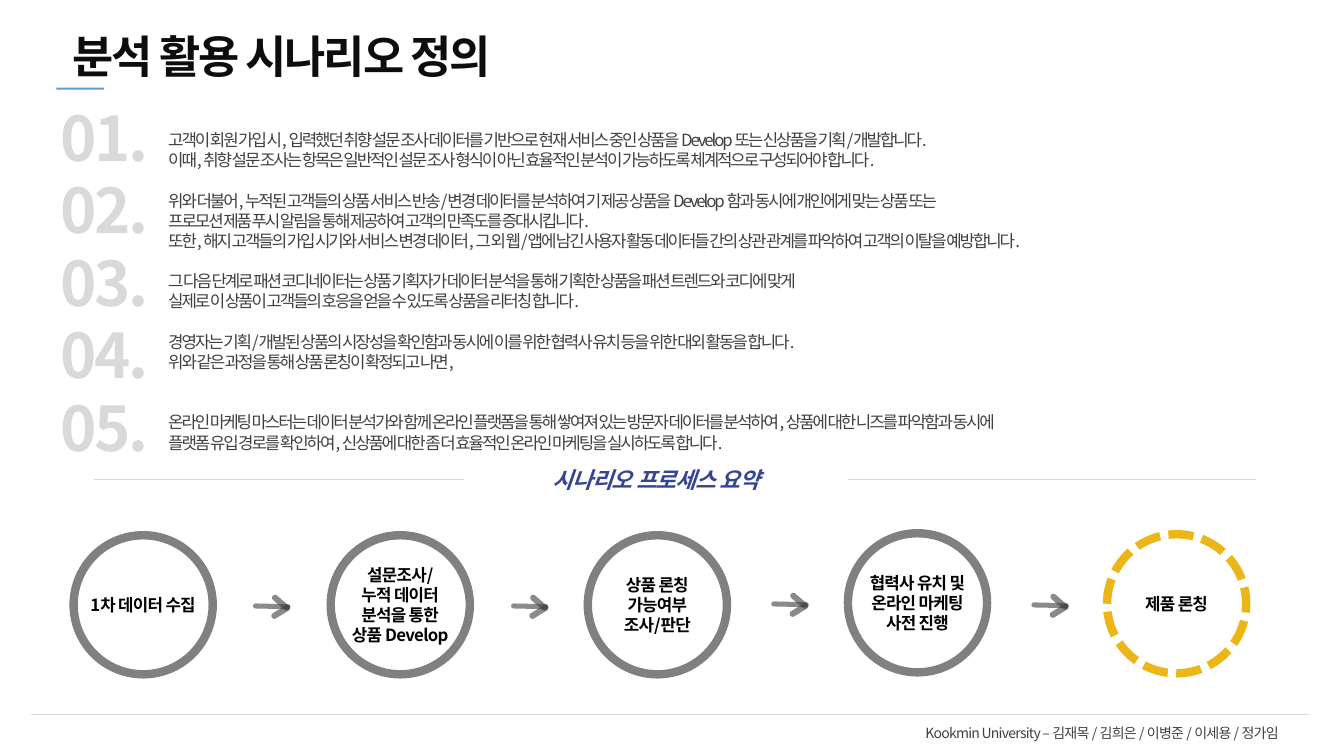
"""Build the scenario slide with its numbered text and process steps."""
from dataclasses import dataclass, field
from typing import NamedTuple

from lxml import etree
from pptx import Presentation
from pptx import util as u
from pptx.dml.color import RGBColor
from pptx.enum import dml, shapes, text
from pptx.oxml.ns import qn

PX = 9144


class Box(NamedTuple):
    x: int
    y: int
    w: int
    h: int


class Look(NamedTuple):
    size: int
    color: str
    space: int = -50
    bold: bool = False
    slant: bool = False
    lead: float = 1.2


@dataclass(frozen=True)
class Theme:
    font: str = "Noto Sans CJK KR"
    rule: str = "D9D9D9"
    bar: str = "5B9BD5"
    ink: str = "404040"
    ring: str = "808080"
    gold: str = "ECB619"
    white: str = "FFFFFF"
    title: Look = Look(32, "0D0D0D", -150, True, lead=1.28)
    body: Look = Look(12, "404040", -150)
    head: Look = Look(16, "354592", -50, True, True)
    digit: Look = Look(44, "D9D9D9", -150, True, lead=1.28)
    step: Look = Look(12, "000000", -50, True)
    foot: Look = Look(10, "404040")


@dataclass(frozen=True)
class Step:
    x: int
    y: int
    lines: list[str]
    last: bool = False


@dataclass(frozen=True)
class Para:
    lines: list[str]
    gap: int = field(default=1)


class Blade(NamedTuple):
    box: Box
    turn: float


class Rule(NamedTuple):
    x: int
    end: int
    y: int
    width: float


THEME = Theme()
BODY = [
    Para(["고객이 회원 가입 시, 입력했던 취향 설문 조사 데이터를 기반으로 현재 서비스 중인 상품을 Develop 또는 신상품을 기획/개발합니다.",
          "이때, 취향 설문 조사는 항목은 일반적인 설문 조사 형식이 아닌 효율적인 분석이 가능하도록 체계적으로 구성되어야 합니다."], 0),
    Para(["위와 더불어, 누적된 고객들의 상품 서비스 반송/변경 데이터를 분석하여 기 제공 상품을 Develop 함과 동시에 개인에게 맞는 상품 또는",
          "프로모션 제품 푸시 알림을 통해 제공하여 고객의 만족도를 증대시킵니다.",
          "또한, 해지 고객들의 가입 시기와 서비스 변경 데이터, 그 외 웹/앱에 남긴 사용자 활동 데이터들 간의 상관 관계를 파악하여 고객의 이탈을 예방합니다."]),
    Para(["그 다음 단계로 패션 코디네이터는 상품 기획자가 데이터 분석을 통해 기획한 상품을 패션 트렌드와 코디에 맞게",
          "실제로 이 상품이 고객들의 호응을 얻을 수 있도록 상품을 리터칭 합니다."]),
    Para(["경영자는 기획/개발된 상품의 시장성을 확인함과 동시에 이를 위한 협력사 유치 등을 위한 대외 활동을 합니다.",
          "위와 같은 과정을 통해 상품 론칭이 확정되고 나면,"]),
    Para(["온라인 마케팅 마스터는 데이터 분석가와 함께 온라인 플랫폼을 통해 쌓여져 있는 방문자 데이터를 분석하여, 상품에 대한 니즈를 파악함과 동시에",
          "플랫폼 유입 경로를 확인하여, 신상품에 대한 좀 더 효율적인 온라인 마케팅을 실시하도록 합니다."], 2),
]
STEPS = [
    Step(73, 531, ["1차 데이터 수집"]),
    Step(328, 531, ["설문조사/", "누적 데이터", "분석을 통한", "상품 Develop"]),
    Step(583, 531, ["상품 론칭", "가능여부", "조사/판단"]),
    Step(841, 529, ["협력사 유치 및", "온라인 마케팅", "사전 진행"]),
    Step(1098, 530, ["제품 론칭"], True),
]
ARROWS = [(251, 599), (507, 599), (765, 597), (1023, 598)]
BLADES = [Blade(Box(0, 0, 37, 5), 1.2), Blade(Box(17, 5, 21, 6), 328.2),
          Blade(Box(17, -4, 21, 6), 40.9)]
RULES = [Rule(31, 1298, 709, 0.75), Rule(841, 1246, 476, 0.5), Rule(93, 460, 476, 0.5)]


def apply(item, vals: dict) -> None:
    """Set each value on the item."""
    for key, val in vals.items():
        setattr(item, key, val)


def scale(box: Box) -> list[int]:
    """Turn px into EMU."""
    return [v * PX for v in box]


def write(frame, paras: list[Para], look: Look, mid: bool = True) -> None:
    """Fill a text frame with styled lines."""
    pitch = look.size * look.lead
    rows = [(line, para.gap if not i else 0)
            for para in paras for i, line in enumerate(para.lines)]
    for i, (line, gap) in enumerate(rows):
        par = frame.paragraphs[0] if not i else frame.add_paragraph()
        apply(par, {"alignment": text.PP_ALIGN.CENTER if mid else text.PP_ALIGN.LEFT,
                    "line_spacing": u.Pt(pitch), "space_before": u.Pt(gap * pitch)})
        run = par.add_run()
        run.text = line
        apply(run.font, {"size": u.Pt(look.size), "bold": look.bold,
                         "italic": look.slant, "name": THEME.font})
        run.font.color.rgb = RGBColor.from_string(look.color)
        props = run.font._element
        props.set("spc", str(look.space))
        east = etree.Element(qn("a:ea"), typeface=THEME.font)
        props.find(qn("a:latin")).addnext(east)


def label(slide, box: Box, paras: list[Para], look: Look,
          mid: bool = True, wrap: bool = True, right: int = 10) -> None:
    """Add a text box."""
    frame = slide.shapes.add_textbox(*scale(box)).text_frame
    apply(frame, {"word_wrap": wrap, "margin_right": right * PX})
    write(frame, paras, look, mid)


def block(slide, kind, box: Box, color: str):
    """Add a plain filled shape."""
    shape = slide.shapes.add_shape(kind, *scale(box))
    shape.shadow.inherit = False
    shape.fill.solid()
    shape.fill.fore_color.rgb = RGBColor.from_string(color)
    shape.line.fill.background()
    return shape


def draw_rule(slide, rule: Rule) -> None:
    """Add a thin level line."""
    line = slide.shapes.add_connector(
        shapes.MSO_CONNECTOR.STRAIGHT, *scale(Box(rule.x, rule.y, rule.end, rule.y)))
    line.line.color.rgb = RGBColor.from_string(THEME.rule)
    line.line.width = u.Pt(rule.width)
    etree.SubElement(line._element.spPr, qn("a:effectLst"))


def draw_arrow(slide, x: int, y: int) -> None:
    """Add an arrow of three clear blades."""
    for box, turn in BLADES:
        blade = block(slide, shapes.MSO_SHAPE.ROUNDED_RECTANGLE,
                      Box(x + box.x, y + box.y, box.w, box.h), THEME.ink)
        blade.rotation = turn
        blade.adjustments[0] = 0.5
        tint = blade._element.spPr.find(qn("a:solidFill"))[0]
        etree.SubElement(tint, qn("a:alpha"), val="61000")


def draw_step(slide, step: Step) -> None:
    """Add a ring with its text."""
    ring = block(slide, shapes.MSO_SHAPE.OVAL, Box(step.x, step.y, 138, 138), THEME.white)
    ring.line.color.rgb = RGBColor.from_string(THEME.gold if step.last else THEME.ring)
    ring.line.width = u.Pt(6)
    if step.last:
        ring.line.dash_style = dml.MSO_LINE.SQUARE_DOT
    apply(ring.text_frame, {"word_wrap": False, "vertical_anchor": text.MSO_ANCHOR.MIDDLE})
    write(ring.text_frame, [Para(step.lines, 0)], THEME.step)


def main() -> None:
    """Draw the slide and save it."""
    deck = Presentation()
    apply(deck, {"slide_width": u.Inches(13.33), "slide_height": u.Inches(7.5)})
    slide = deck.slides.add_slide(deck.slide_layouts[6])
    label(slide, Box(908, 714, 399, 27),
          [Para(["Kookmin University – 김재목 / 김희은 / 이병준 / 이세용 / 정가임"], 0)],
          THEME.foot, mid=False, right=30)
    block(slide, shapes.MSO_SHAPE.RECTANGLE, Box(56, 87, 47, 2), THEME.bar)
    label(slide, Box(41, 20, 477, 64), [Para(["분석 활용 시나리오 정의"], 0)],
          THEME.title, wrap=False)
    label(slide, Box(157, 124, 999, 353), BODY, THEME.body, mid=False)
    label(slide, Box(397, 458, 508, 37), [Para(["시나리오 프로세스 요약"], 0)], THEME.head)
    for x, y in ARROWS:
        draw_arrow(slide, x, y)
    for step in STEPS:
        draw_step(slide, step)
    for rule in RULES:
        draw_rule(slide, rule)
    for i in range(len(BODY)):
        label(slide, Box(23, 89 + 72 * i, 161, 84), [Para([f"{i + 1:02}."], 0)], THEME.digit)
    deck.save("out.pptx")


if __name__ == "__main__":
    main()
